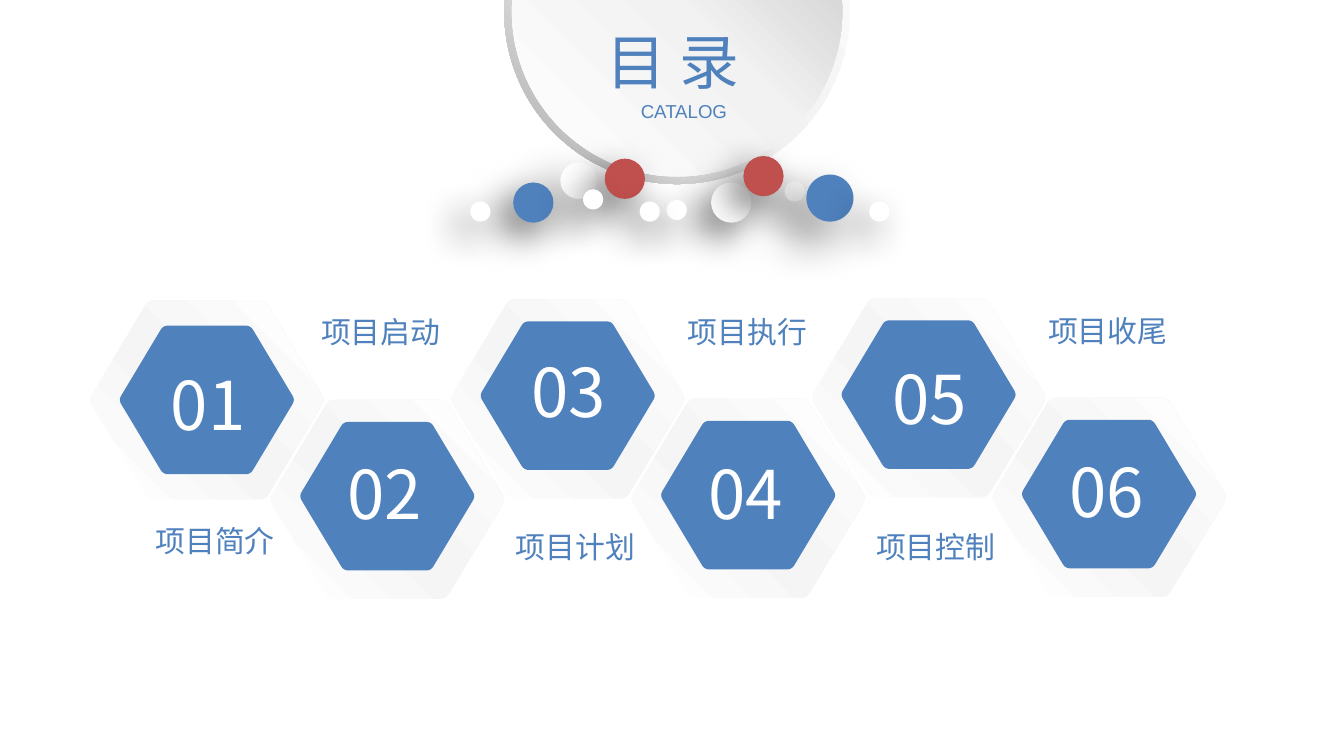
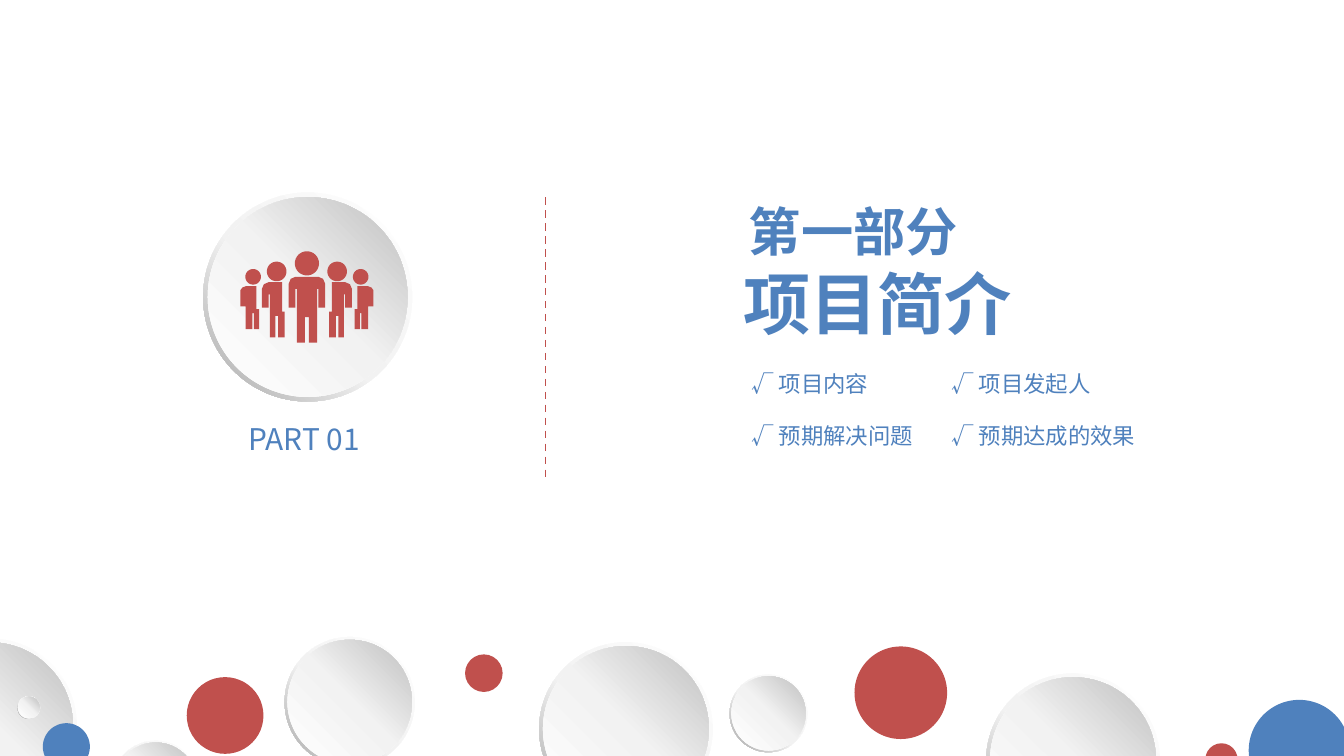
from math import cos, hypot, pi, sin

from lxml import etree
from pptx import Presentation
from pptx.dml.color import RGBColor
from pptx.enum.dml import MSO_LINE
from pptx.enum.shapes import MSO_CONNECTOR, MSO_SHAPE
from pptx.enum.text import MSO_ANCHOR, MSO_AUTO_SIZE, PP_ALIGN
from pptx.oxml.ns import qn
from pptx.util import Cm, Pt

BLUE = RGBColor(0x4F, 0x81, 0xBD)
RED = RGBColor(0xC0, 0x50, 0x4D)
WHITE = RGBColor(0xFF, 0xFF, 0xFF)
BLACK = RGBColor(0x00, 0x00, 0x00)
SMOKE = RGBColor(0xF5, 0xF5, 0xF5)
PALE = RGBColor(0xF2, 0xF2, 0xF2)
SILVER = RGBColor(0xBF, 0xBF, 0xBF)
GREY = RGBColor(0xA6, 0xA6, 0xA6)

RIM = ([(0, WHITE), (55, PALE), (100, GREY)], 135)
FACE = ([(0, WHITE), (51, PALE), (100, SILVER)], 315)
HEX_FACE = ([(0, WHITE), (47, SMOKE), (100, WHITE)], 315)

SANS = "Noto Sans CJK SC"
NUMERAL = "Noto Sans CJK JP"
ARIAL = "Arial"

OVAL, DONUT = MSO_SHAPE.OVAL, MSO_SHAPE.DONUT
LEFT, CENTER = PP_ALIGN.LEFT, PP_ALIGN.CENTER
MIDDLE = MSO_ANCHOR.MIDDLE
NO_FIT = MSO_AUTO_SIZE.NONE
DASH = MSO_LINE.DASH
STRAIGHT = MSO_CONNECTOR.STRAIGHT

SOFT_SHADOW = (60, 20, 10)
DEEP_SHADOW = (50, 25, 15)
SHADOW_ANGLE = 135

DOTS = [
    (13.44, 3.45, 0.76, WHITE, SOFT_SHADOW),
    (12.6, 3.78, 0.38, WHITE, SOFT_SHADOW),
    (14.83, 3.43, 0.38, WHITE, SOFT_SHADOW),
    (10.59, 3.07, 0.69, WHITE, DEEP_SHADOW),
    (11.43, 3.0, 0.76, RED, SOFT_SHADOW),
    (12.09, 3.81, 0.38, WHITE, SOFT_SHADOW),
    (15.24, 3.3, 0.89, BLUE, DEEP_SHADOW),
    (9.7, 3.45, 0.76, BLUE, SOFT_SHADOW),
    (8.89, 3.81, 0.38, WHITE, SOFT_SHADOW),
    (14.05, 2.95, 0.76, RED, SOFT_SHADOW),
    (11.02, 3.58, 0.38, WHITE, SOFT_SHADOW),
    (16.43, 3.81, 0.38, WHITE, SOFT_SHADOW),
]

CHAPTERS = [
    ("项目简介", -1.22, 2.19, -0.83, 0),
    ("项目启动", -1.5, -3.65, -1.03, -0.06),
    ("项目计划", -1.23, 2.32, -1.05, -0.06),
    ("项目执行", -1.39, -3.63, -1.0, -0.06),
    ("项目控制", -1.24, 2.34, -0.9, -0.06),
    ("项目收尾", -1.4, -3.63, -1.02, -0.06),
]

BUBBLES = [
    (10.19, 12.14, 3.28, None),
    (16.15, 12.22, 1.75, RED),
    (5.38, 12.04, 2.46, None),
    (23.6, 13.23, 1.91, BLUE),
    (2.13, 14.0, 1.63, None),
    (8.79, 12.37, 0.71, RED),
    (13.79, 12.75, 1.47, None),
    (18.64, 12.73, 3.28, None),
    (22.78, 14.05, 0.61, RED),
    (-1.83, 12.07, 3.28, None),
    (3.53, 12.8, 1.45, RED),
    (0.81, 13.67, 0.89, BLUE),
    (0.33, 13.16, 0.43, None),
]

TOPICS = ["项目内容", "项目发起人", "预期解决问题", "预期达成的效果"]

HALF_LEADER = [(0, 19), (8.5, 19), (12, 20.5), (13.5, 24), (13.5, 42), (8.5, 42), (8.5, 28),
               (7.5, 28), (7.5, 68), (1.5, 68), (1.5, 49), (0, 49)]
NEAR_BODY = [(16.5, 45), (16.5, 64), (21.5, 64), (21.5, 48), (23.5, 48), (23.5, 64),
             (27.5, 64), (27.5, 32), (28.5, 32), (28.5, 42), (33.5, 42), (33.5, 28),
             (32, 24.5), (28.5, 23), (18.5, 23), (18.5, 45)]
FAR_BODY = [(35.5, 43), (35.5, 58), (39.5, 58), (39.5, 46), (40.5, 46), (40.5, 58),
            (45.5, 58), (45.5, 41), (49.5, 41), (49.5, 29), (48, 27), (45.5, 26),
            (37.5, 26), (37.5, 43)]


def paint(sp, fill):
    sp.shadow.inherit = False
    sp.line.fill.background()
    if isinstance(fill, RGBColor):
        sp.fill.solid()
        sp.fill.fore_color.rgb = fill
        return
    stops, angle = fill
    sp.fill.gradient()
    sp.fill.gradient_angle = 360 - angle
    gs_list = sp._element.spPr.find(qn("a:gradFill")).find(qn("a:gsLst"))
    for gs in list(gs_list):
        gs_list.remove(gs)
    for pos, color in stops:
        gs = etree.SubElement(gs_list, qn("a:gs"), pos=str(pos * 1000))
        etree.SubElement(gs, qn("a:srgbClr"), val=str(color))


def cast_shadow(sp, alpha, blur, dist):
    effects = sp._element.spPr.find(qn("a:effectLst"))
    shadow = etree.SubElement(effects, qn("a:outerShdw"), blurRad=str(Pt(blur)),
                              dist=str(Pt(dist)), dir=str(SHADOW_ANGLE * 60000),
                              algn="ctr", rotWithShape="0")
    color = etree.SubElement(shadow, qn("a:srgbClr"), val=str(BLACK))
    etree.SubElement(color, qn("a:alpha"), val=str(alpha * 1000))


def add_round(shapes, kind, x, y, d, fill):
    sp = shapes.add_shape(kind, Cm(x), Cm(y), Cm(d), Cm(d))
    paint(sp, fill)
    return sp


def add_disc(s, x, y, d, color=None):
    shapes = s.shapes.add_group_shape().shapes
    add_round(shapes, DONUT, x, y, d, color or RIM).adjustments[0] = 0.049
    inset = 0.022 * d
    add_round(shapes, OVAL, x + inset, y + inset, d - 2 * inset, color or FACE)


def add_outline(shapes, contours, fill):
    contours = [[(Cm(x), Cm(y)) for x, y in points] for points in contours]
    builder = shapes.build_freeform(*contours[0][0], scale=1.0)
    for points in contours:
        builder.move_to(*points[0])
        builder.add_line_segments(points[1:], close=True)
    paint(builder.convert_to_shape(), fill)


def style(p, size, font, color, align=LEFT, bold=False):
    p.alignment = align
    p.font.size = Pt(size)
    p.font.bold = bold
    p.font.color.rgb = color
    p.font.name = font
    etree.SubElement(p._p.pPr.find(qn("a:defRPr")), qn("a:ea"), typeface=font)


def add_text(shapes, box, text, size, font, color=BLUE, align=LEFT, inset=0.25):
    sp = shapes.add_textbox(*map(Cm, box))
    tf = sp.text_frame
    tf.word_wrap = True
    tf.vertical_anchor = MIDDLE
    tf.margin_left = tf.margin_right = Cm(inset)
    tf.text = text
    style(tf.paragraphs[0], size, font, color, align)


def place_title(s, box, lines, bold=False):
    sp = s.shapes.title
    s.shapes._spTree.append(sp._element)
    sp.left, sp.top, sp.width, sp.height = map(Cm, box)
    tf = sp.text_frame
    tf.auto_size = NO_FIT
    tf.word_wrap = True
    tf.vertical_anchor = MIDDLE
    tf.text = "\n".join(text for text, size, indent in lines)
    for p, (text, size, indent) in zip(tf.paragraphs, lines):
        style(p, size, SANS, BLUE, bold=bold)
        p._p.pPr.set("marL", str(Cm(indent)))
        p._p.pPr.set("indent", "0")


def hexagon(cx, cy, w):
    h = 0.851 * w
    radius = 0.027 * w
    corners = [(0.505 * w, 0), (0.25 * w, h / 2), (-0.25 * w, h / 2),
               (-0.505 * w, 0), (-0.25 * w, -h / 2), (0.25 * w, -h / 2)]
    points = []
    for i, (x, y) in enumerate(corners):
        ends = []
        for nx, ny in (corners[i - 1], corners[(i + 1) % 6]):
            k = radius / hypot(nx - x, ny - y)
            ends.append((x + (nx - x) * k, y + (ny - y) * k))
        (ax, ay), (bx, by) = ends
        for t in (0, 0.25, 0.5, 0.75, 1):
            u = 1 - t
            points.append((cx + u * u * ax + 2 * u * t * x + t * t * bx,
                           cy + u * u * ay + 2 * u * t * y + t * t * by))
    return points


def add_chapter(s, cx, cy, number, chapter):
    label, label_dx, label_dy, number_dy, core_dy = chapter
    number_dx = -0.93 if number % 2 else -1.0
    shapes = s.shapes.add_group_shape().shapes
    for w, dy, fill in ((4.45, 0, WHITE), (4.42, 0, HEX_FACE), (3.3, core_dy, BLUE)):
        add_outline(shapes, [hexagon(cx, cy + dy, w)], fill)
    add_text(shapes, (cx + number_dx, cy + number_dy, 2.3, 1.8), f"{number:02}", 36, NUMERAL, WHITE)
    add_text(s.shapes, (cx + label_dx, cy + label_dy, 2.9, 0.94), label, 16, ARIAL)


def add_team_icon(s, x, y):
    unit = 0.0254

    def mirror(points):
        return [(-px, py) for px, py in points]

    def head(cx, cy, r):
        return [(cx + r * cos(pi * k / 16), cy + r * sin(pi * k / 16)) for k in range(32)]

    side = [head(22.5, 15, 7.3), head(40, 19, 5.8), NEAR_BODY, FAR_BODY]
    contours = [head(0, 9, 9), HALF_LEADER + mirror(HALF_LEADER)[::-1]]
    contours += side + [mirror(points) for points in side]
    add_outline(s.shapes, [[(x + px * unit, y + py * unit) for px, py in points]
                           for points in contours], RED)


def add_divider(s, x, top, bottom):
    cxn = s.shapes.add_connector(STRAIGHT, Cm(x), Cm(top), Cm(x), Cm(bottom))
    cxn._element.remove(cxn._element.find(qn("p:style")))
    cxn.line.color.rgb = RED
    cxn.line.width = Pt(1)
    cxn.line.dash_style = DASH
    etree.SubElement(cxn._element.spPr, qn("a:effectLst"))


def add_topics(s, x, y):
    for i, topic in enumerate(TOPICS):
        box = (x + 3.78 * (i % 2), y + 0.97 * (i // 2), 5.2, 0.69)
        add_text(s.shapes, box, "√ " + topic, 12, SANS, inset=0.18)


def catalog_slide(prs):
    s = prs.slides.add_slide(prs.slide_layouts[5])
    add_disc(s, 9.53, -3.05, 6.53)
    for x, y, d, color, shadow in DOTS:
        cast_shadow(add_round(s.shapes, OVAL, x, y, d, color), *shadow)
    place_title(s, (11.2, 0.33, 3.43, 1.63), [("目 录", 32, 0)])
    add_text(s.shapes, (11.02, 1.57, 3.81, 1.07), "CATALOG", 10, ARIAL, align=CENTER)
    for i, chapter in enumerate(CHAPTERS):
        cy = 7.56 - 0.01 * i + 1.89 * (i % 2)
        add_chapter(s, 3.91 + 3.41 * i, cy, i + 1, chapter)


def section_slide(prs):
    s = prs.slides.add_slide(prs.slide_layouts[5])
    place_title(s, (13.79, 3.63, 6.5, 3.0),
                [("第一部分", 28, 0.11), ("项目简介", 36, 0)], bold=True)
    add_divider(s, 10.31, 3.73, 9.07)
    add_text(s.shapes, (4.7, 7.95, 2.51, 0.69), "PART 01", 16, SANS, inset=0)
    add_disc(s, 3.84, 3.64, 3.95)
    add_team_icon(s, 5.8, 4.75)
    add_topics(s, 14.02, 6.91)
    for bubble in BUBBLES:
        add_disc(s, *bubble)


def main():
    prs = Presentation()
    prs.slide_width, prs.slide_height = Cm(25.4), Cm(14.29)
    catalog_slide(prs)
    section_slide(prs)
    prs.save("out.pptx")


if __name__ == "__main__":
    main()
